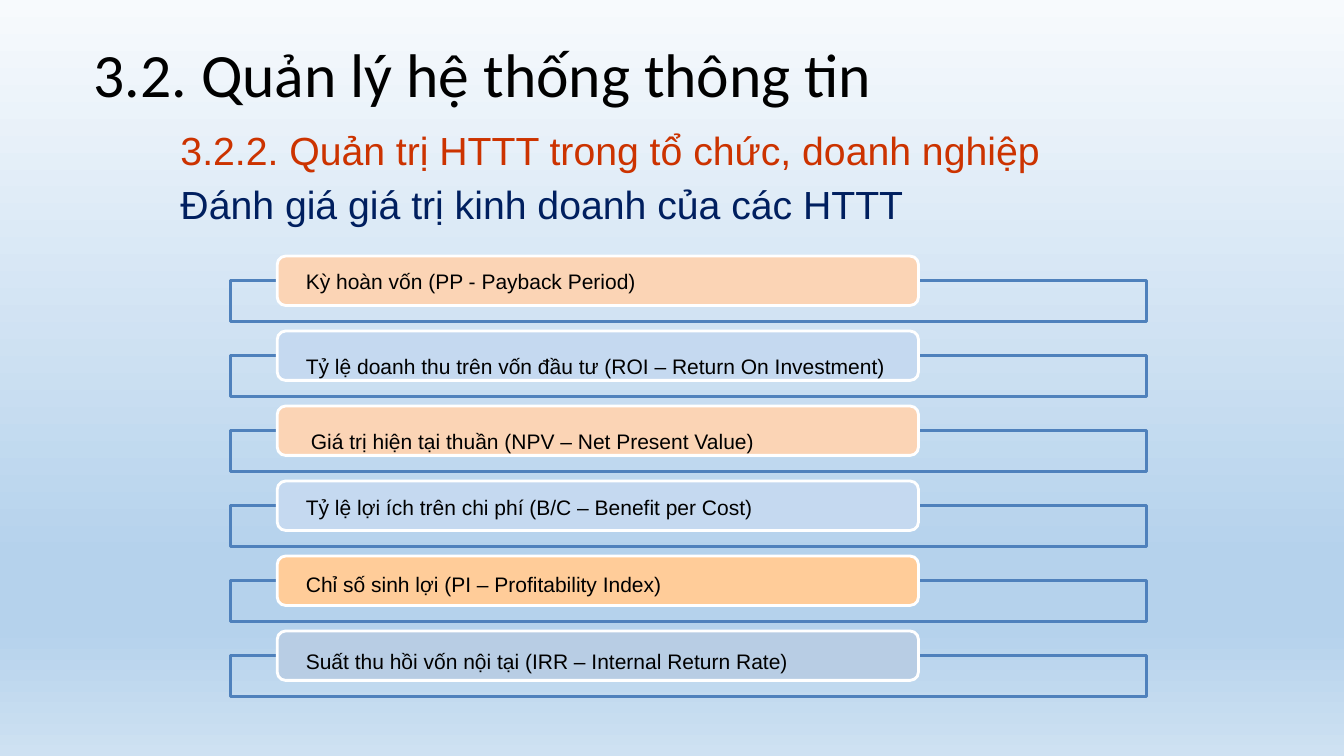
import pptx
import pptx.util
import pptx.dml.color
import pptx.enum.shapes
import pptx.enum.text
import pptx.oxml.ns
import lxml.etree

Inches = pptx.util.Inches
Pt = pptx.util.Pt
RGBColor = pptx.dml.color.RGBColor
SHAPE = pptx.enum.shapes.MSO_SHAPE
ANCHOR = pptx.enum.text.MSO_ANCHOR
qn = pptx.oxml.ns.qn

BLACK = RGBColor(0x00, 0x00, 0x00)
WHITE = RGBColor(0xFF, 0xFF, 0xFF)
RED = RGBColor(0xCC, 0x33, 0x00)
NAVY = RGBColor(0x00, 0x1F, 0x5F)
FRAME_BLUE = RGBColor(0x4F, 0x81, 0xBC)
PEACH = RGBColor(0xFB, 0xD4, 0xB5)
PALE_BLUE = RGBColor(0xC5, 0xD9, 0xF0)
ORANGE = RGBColor(0xFF, 0xCC, 0x99)
STEEL = RGBColor(0xB8, 0xCD, 0xE4)
SKY_TOP = RGBColor(0xF7, 0xFA, 0xFD)
SKY = RGBColor(0xB5, 0xD2, 0xEC)
SKY_BOTTOM = RGBColor(0xCE, 0xE1, 0xF2)


def write_paragraph(paragraph, text, font="Arial", size=15, color=BLACK,
                    spacing=1.0, before=0):
    paragraph.alignment = pptx.enum.text.PP_ALIGN.LEFT
    paragraph.line_spacing = spacing
    paragraph.space_before = Pt(before)
    run = paragraph.add_run()
    run.text = text
    run.font.name = font
    run.font.size = Pt(size)
    run.font.color.rgb = color


class SlideBuilder:
    line_width = Pt(2.04)

    def __init__(self, presentation):
        self.slide = presentation.slides.add_slide(presentation.slide_layouts[1])

    def background(self, stops):
        fill = self.slide.background.fill
        fill.gradient()
        fill.gradient_angle = 270
        stop_list = next(self.slide.element.iter(qn("a:gsLst")))
        for stop in list(stop_list):
            stop_list.remove(stop)
        for percent, color in stops:
            stop = lxml.etree.SubElement(stop_list, qn("a:gs"), pos=str(percent * 1000))
            lxml.etree.SubElement(stop, qn("a:srgbClr"), val=str(color))

    def text_frame(self, shape, anchor, left=0, top=0):
        frame = shape.text_frame
        frame.word_wrap = True
        frame.auto_size = pptx.enum.text.MSO_AUTO_SIZE.NONE
        frame.vertical_anchor = anchor
        frame.margin_left, frame.margin_top = Inches(left), Inches(top)
        frame.margin_right = frame.margin_bottom = 0
        return frame

    def place(self, shape, left, top, width, height):
        shape.left, shape.top = Inches(left), Inches(top)
        shape.width, shape.height = Inches(width), Inches(height)

    def title(self, text, *position):
        shape = self.slide.shapes.title
        self.place(shape, *position)
        frame = self.text_frame(shape, ANCHOR.MIDDLE)
        write_paragraph(frame.paragraphs[0], text, font="Calibri", size=44, before=1)

    def body(self, lines, *position):
        shape = self.slide.placeholders[1]
        self.place(shape, *position)
        frame = self.text_frame(shape, ANCHOR.TOP, top=0.01)
        for index, (text, color) in enumerate(lines):
            paragraph = frame.add_paragraph() if index else frame.paragraphs[0]
            write_paragraph(paragraph, text, size=28, color=color, spacing=1.12, before=1)
            properties = paragraph._p.get_or_add_pPr()
            properties.set("marL", "0")
            properties.set("indent", "0")
            lxml.etree.SubElement(properties, qn("a:buNone"))

    def box(self, kind, left, top, width, height, line, fill=None):
        shape = self.slide.shapes.add_shape(
            kind, Inches(left), Inches(top), Inches(width), Inches(height))
        shape.shadow.inherit = False
        shape.line.color.rgb = line
        shape.line.width = self.line_width
        if fill is None:
            shape.fill.background()
        else:
            shape.fill.solid()
            shape.fill.fore_color.rgb = fill
        return shape

    def criterion(self, text, top, fill, drop, indent):
        self.box(SHAPE.RECTANGLE, 2.29, top, 9.08, 0.41, FRAME_BLUE)
        label = self.box(SHAPE.ROUNDED_RECTANGLE, 2.75, top - 0.24, 6.36, 0.49, WHITE, fill)
        label.adjustments[0] = 0.17
        frame = self.text_frame(label, ANCHOR.MIDDLE, left=indent, top=2 * drop)
        write_paragraph(frame.paragraphs[0], text)


CRITERIA = [
    ("Kỳ hoàn vốn (PP - Payback Period)", PEACH, 0, 0.26),
    ("Tỷ lệ doanh thu trên vốn đầu tư (ROI – Return On Investment)", PALE_BLUE, 0.1, 0.26),
    ("Giá trị hiện tại thuần (NPV – Net Present Value)", PEACH, 0.1, 0.31),
    ("Tỷ lệ lợi ích trên chi phí (B/C – Benefit per Cost)", PALE_BLUE, 0.01, 0.26),
    ("Chỉ số sinh lợi (PI – Profitability Index)", ORANGE, 0.03, 0.26),
    ("Suất thu hồi vốn nội tại (IRR – Internal Return Rate)", STEEL, 0.05, 0.26),
]
FIRST_TOP, LAST_TOP = 2.78, 6.5

presentation = pptx.Presentation()
presentation.slide_width = Inches(13.33)
presentation.slide_height = Inches(7.5)

builder = SlideBuilder(presentation)
builder.background([(0, SKY_TOP), (74, SKY), (83, SKY), (100, SKY_BOTTOM)])
builder.title("3.2. Quản lý hệ thống thông tin", 0.93, 0, 11.5, 1.45)
builder.body([
    ("3.2.2. Quản trị HTTT trong tổ chức, doanh nghiệp", RED),
    ("Đánh giá giá trị kinh doanh của các HTTT", NAVY),
], 1.79, 1.19, 8.69, 1.07)

pitch = (LAST_TOP - FIRST_TOP) / (len(CRITERIA) - 1)
for index, (text, fill, drop, indent) in enumerate(CRITERIA):
    builder.criterion(text, FIRST_TOP + index * pitch, fill, drop, indent)

presentation.save("out.pptx")
